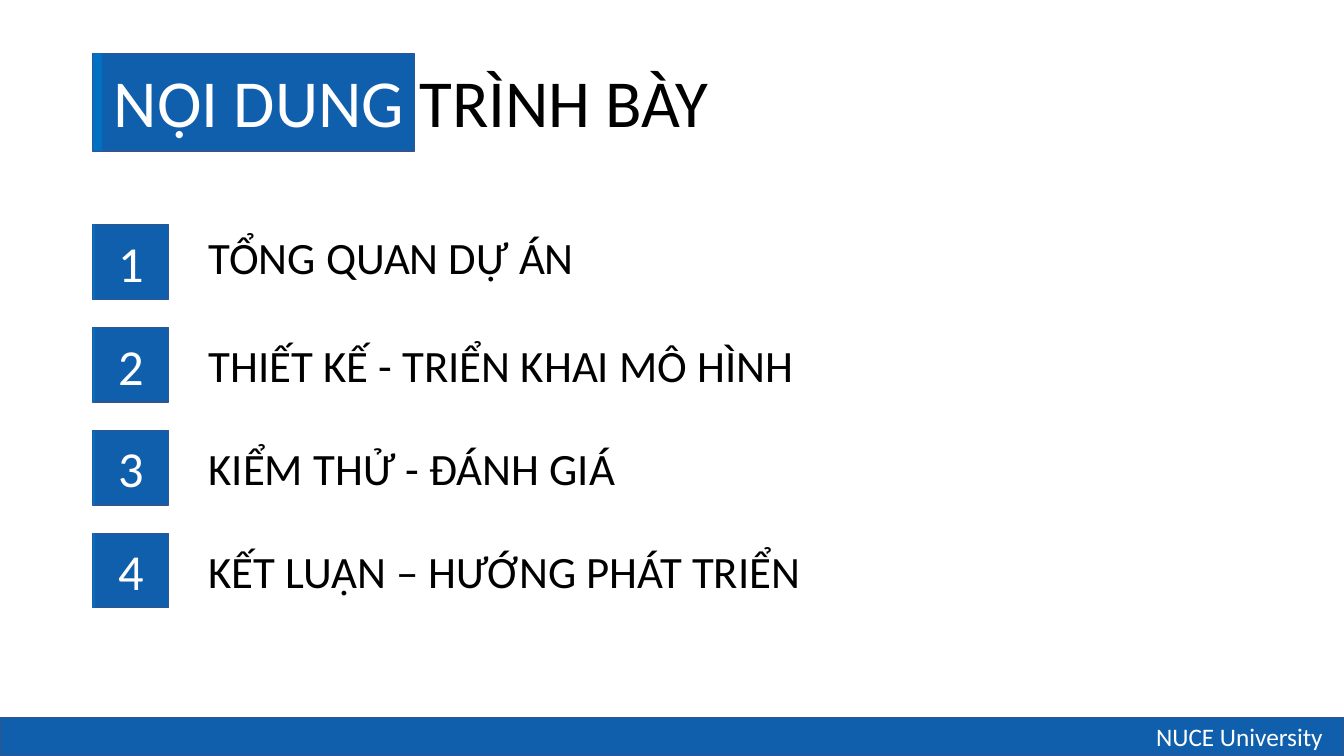
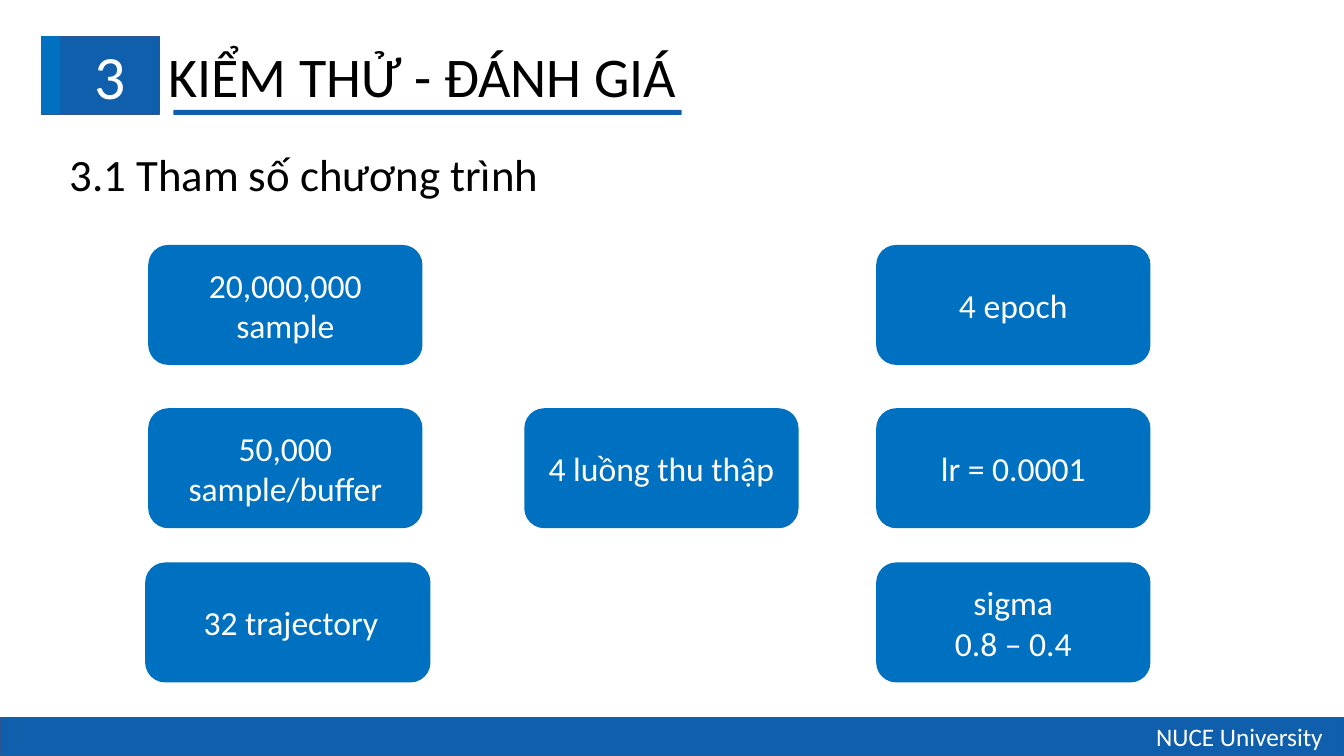
from dataclasses import dataclass
from typing import Any, NamedTuple

from pptx import Presentation
from pptx.dml.color import RGBColor
from pptx.enum.shapes import MSO_SHAPE as Preset
from pptx.enum.text import MSO_ANCHOR as Anchor, MSO_AUTO_SIZE as AutoSize, PP_ALIGN as Align
from pptx.util import Emu, Pt

EMU_PER_PX = 9144  # 100 px to the inch


def px(length: int) -> Emu:
    return Emu(length * EMU_PER_PX)


@dataclass(frozen=True)
class Theme:
    font: str = "Calibri"
    band: str = "105FAD"
    accent: str = "0070C0"
    outline: str = "325491"
    dark: str = "000000"
    light: str = "FFFFFF"
    agenda_title: int = 48
    section_number: int = 44
    section_title: int = 40
    badge: int = 36
    heading: int = 32
    card: int = 24
    footer: int = 18


THEME = Theme()


class Box(NamedTuple):
    left: int
    top: int
    width: int
    height: int


class Span(NamedTuple):
    text: str
    color: str


class AgendaItem(NamedTuple):
    text: str
    drop: int = 5  # text top below badge top


@dataclass(frozen=True)
class Card:
    text: str
    column: int
    row: int
    widen: int = 0  # extra width, mostly to the right
    indent: int = 10


SLIDE_SIZE = (1333, 750)
FOOTER_BOX = Box(0, 712, 1333, 38)
FOOTER_TEXT = "NUCE University"

AGENDA = [
    AgendaItem("TỔNG QUAN DỰ ÁN", drop=0),
    AgendaItem("THIẾT KẾ - TRIỂN KHAI MÔ HÌNH"),
    AgendaItem("KIỂM THỬ - ĐÁNH GIÁ"),
    AgendaItem("KẾT LUẬN – HƯỚNG PHÁT TRIỂN"),
]
AGENDA_TOP, AGENDA_PITCH = 223, 102

CARD_COLUMNS = (147, 520, 869)
CARD_ROWS = (243, 405, 558)
CARD_WIDTH, CARD_HEIGHT = 272, 119
CARDS = [
    Card("20,000,000 sample", 0, 0),
    Card("50,000 sample/buffer", 0, 1),
    Card("32 trajectory", 0, 2, widen=11, indent=16),
    Card("4 luồng thu thập", 1, 1),
    Card("4 epoch", 2, 0),
    Card("lr = 0.0001", 2, 1),
    Card("sigma\n0.8 – 0.4", 2, 2),
]


# Building blocks
def set_attributes(target: Any, values: dict[str, Any]) -> None:
    for name, value in values.items():
        setattr(target, name, value)


def place(shape: Any, box: Box) -> None:
    set_attributes(shape, {name: px(value) for name, value in box._asdict().items()})


def format_text(shape: Any, size: int, color: str, align: Align, **frame_values: Any) -> None:
    set_attributes(shape.text_frame, {"word_wrap": True, "auto_size": AutoSize.NONE, **frame_values})
    for paragraph in shape.text_frame.paragraphs:
        paragraph.alignment = align
        for run in paragraph.runs:
            set_attributes(run.font, {"name": THEME.font, "size": Pt(size)})
            run.font.color.rgb = RGBColor.from_string(color)


def add_block(slide: Any, box: Box, fill: str, outline: str | None = None,
              preset: Preset = Preset.RECTANGLE) -> Any:
    shape = slide.shapes.add_shape(preset, *map(px, box))
    shape.shadow.inherit = False
    shape.fill.solid()
    shape.fill.fore_color.rgb = RGBColor.from_string(fill)
    if outline:
        shape.line.color.rgb = RGBColor.from_string(outline)
        shape.line.width = Pt(1)
    else:
        shape.line.fill.background()
    return shape


def add_badge(slide: Any, box: Box, stripe: int, text: str = "", size: int = THEME.badge) -> None:
    """Outlined panel with an accent stripe; text is centred beside the stripe."""
    panel = add_block(slide, box, THEME.band, THEME.outline)
    add_block(slide, box._replace(width=stripe), THEME.accent)
    if text:
        panel.text_frame.text = text
        format_text(panel, size, THEME.light, Align.CENTER, vertical_anchor=Anchor.MIDDLE,
                    margin_left=px(stripe), margin_right=0, margin_top=0, margin_bottom=0)


def add_label(slide: Any, box: Box, text: str) -> None:
    label = slide.shapes.add_textbox(*map(px, box))
    label.text_frame.text = text
    format_text(label, THEME.heading, THEME.dark, Align.LEFT)


def set_title(slide: Any, box: Box, spans: list[Span], size: int) -> None:
    title = slide.shapes.title
    title.element.getparent().append(title.element)  # bring in front of its panel
    place(title, box)
    paragraph = title.text_frame.paragraphs[0]
    for span in spans:
        paragraph.add_run().text = span.text
    format_text(title, size, THEME.dark, Align.LEFT, vertical_anchor=Anchor.TOP)
    for run, span in zip(paragraph.runs, spans):
        run.font.color.rgb = RGBColor.from_string(span.color)


def add_slide(presentation: Any) -> Any:
    """Title-only slide with the shared footer band."""
    slide = presentation.slides.add_slide(presentation.slide_layouts[5])
    footer = add_block(slide, FOOTER_BOX, THEME.band, THEME.outline)
    footer.text_frame.text = FOOTER_TEXT
    format_text(footer, THEME.footer, THEME.light, Align.RIGHT, vertical_anchor=Anchor.MIDDLE,
                margin_right=px(21))
    return slide


# Slides
def build_agenda(presentation: Any) -> None:
    slide = add_slide(presentation)
    add_badge(slide, Box(92, 53, 319, 97), stripe=9)
    set_title(slide, Box(103, 55, 970, 91),
              [Span("NỘI DUNG ", THEME.light), Span("TRÌNH BÀY", THEME.dark)], THEME.agenda_title)
    for index, item in enumerate(AGENDA):
        top = AGENDA_TOP + index * AGENDA_PITCH
        add_badge(slide, Box(92, top, 75, 74), stripe=2, text=str(index + 1))
        add_label(slide, Box(197, top + item.drop, 667, 64), item.text)


def build_parameters(presentation: Any) -> None:
    slide = add_slide(presentation)
    add_badge(slide, Box(41, 36, 117, 77), stripe=19, text="3", size=THEME.section_number)
    set_title(slide, Box(157, 36, 757, 77), [Span("KIỂM THỬ - ĐÁNH GIÁ", THEME.dark)],
              THEME.section_title)
    add_block(slide, Box(172, 109, 504, 5), THEME.band, preset=Preset.ROUNDED_RECTANGLE)
    add_label(slide, Box(59, 141, 667, 64), "3.1 Tham số chương trình")

    # Parameter cards
    for card in CARDS:
        box = Box(CARD_COLUMNS[card.column] - card.widen // 3, CARD_ROWS[card.row],
                  CARD_WIDTH + card.widen, CARD_HEIGHT)
        shape = add_block(slide, box, THEME.accent, preset=Preset.ROUNDED_RECTANGLE)
        shape.text_frame.text = card.text
        format_text(shape, THEME.card, THEME.light, Align.CENTER, vertical_anchor=Anchor.MIDDLE,
                    margin_left=px(card.indent))


def main() -> None:
    presentation = Presentation()
    width, height = map(px, SLIDE_SIZE)
    set_attributes(presentation, {"slide_width": width, "slide_height": height})
    build_agenda(presentation)
    build_parameters(presentation)
    presentation.save("out.pptx")


if __name__ == "__main__":
    main()
